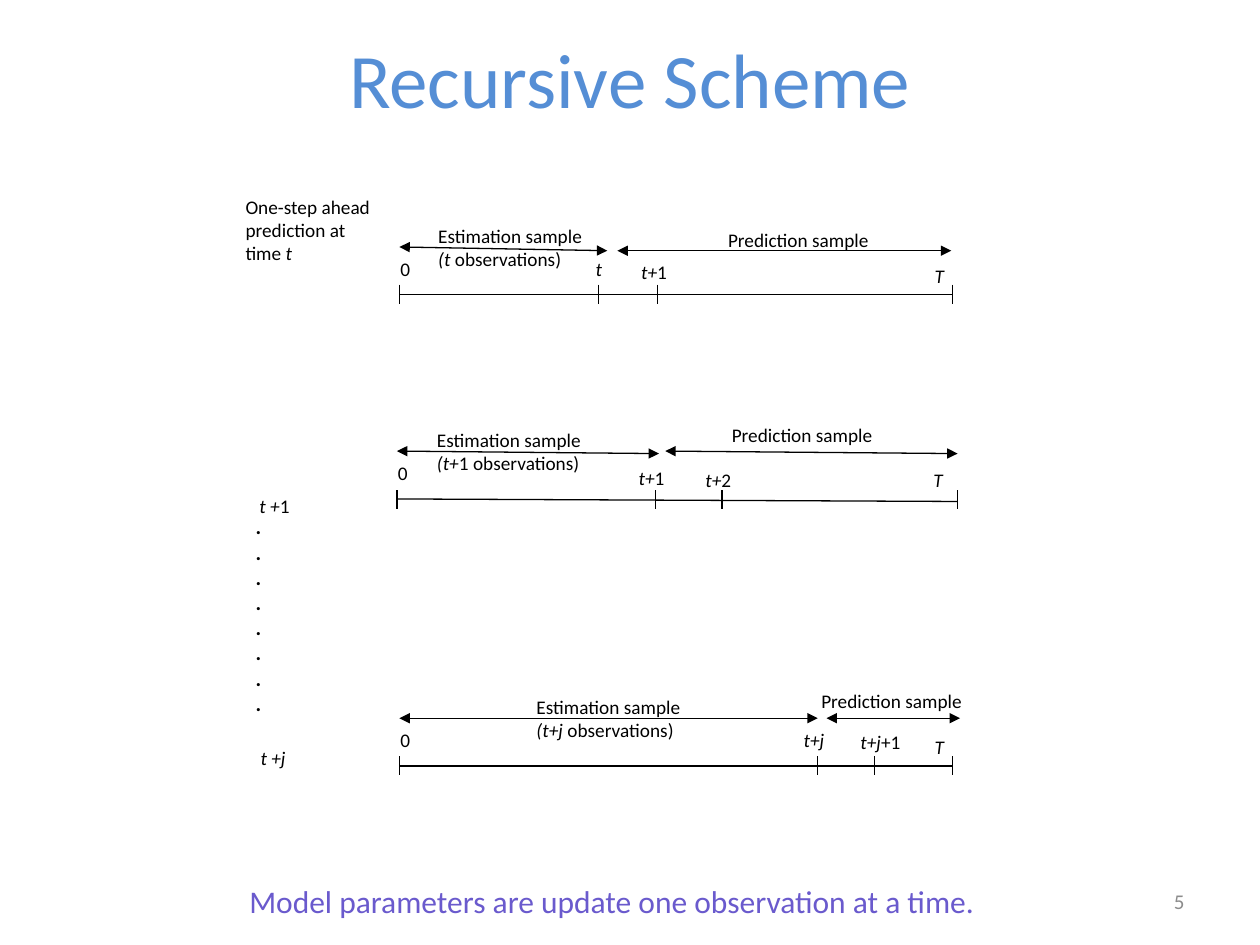
from dataclasses import dataclass

from lxml import etree
from pptx import Presentation
from pptx.dml.color import RGBColor
from pptx.enum.shapes import MSO_CONNECTOR
from pptx.enum.text import MSO_ANCHOR, PP_ALIGN
from pptx.oxml.ns import qn
from pptx.util import Inches, Pt

LINE = MSO_CONNECTOR.STRAIGHT
TOP, MID = MSO_ANCHOR.TOP, MSO_ANCHOR.MIDDLE
LEFT, MIDDLE, RIGHT = PP_ALIGN.LEFT, PP_ALIGN.CENTER, PP_ALIGN.RIGHT
BLACK = RGBColor(0x00, 0x00, 0x00)
BLUE = RGBColor(0x55, 0x8E, 0xD5)
VIOLET = RGBColor(0x6A, 0x5A, 0xCD)
GRAY = RGBColor(0x8C, 0x8C, 0x8C)
TICK = 0.15
RISE = 0.08


@dataclass
class Label:
    lines: tuple[str, ...]
    x: float
    y: float
    w: float
    h: float = 0.27
    size: int = 11
    color: RGBColor = BLACK
    bold: bool = False
    align: PP_ALIGN = LEFT
    anchor: MSO_ANCHOR = TOP
    wrap: bool = True


@dataclass
class Span:
    x1: float
    y1: float
    x2: float
    y2: float


@dataclass
class Row:
    axis: Span
    cuts: tuple[float, float]
    spans: tuple[Span, Span]
    labels: tuple[Label, ...]


def write(frame, label: Label) -> None:
    for name, value in {"word_wrap": label.wrap, "vertical_anchor": label.anchor}.items():
        setattr(frame, name, value)
    for i, line in enumerate(label.lines):
        para = frame.add_paragraph() if i else frame.paragraphs[0]
        para.alignment = label.align
        for j, part in enumerate(line.split("*")):
            if not part:
                continue
            run = para.add_run()
            run.text = part
            style = {"name": "Calibri", "size": Pt(label.size),
                     "bold": label.bold, "italic": j % 2 == 1}
            for name, value in style.items():
                setattr(run.font, name, value)
            run.font.color.rgb = label.color


def add_text(slide, label: Label) -> None:
    box = slide.shapes.add_textbox(*map(Inches, (label.x, label.y, label.w, label.h)))
    write(box.text_frame, label)


def add_line(slide, span: Span, arrow: bool = False) -> None:
    ends = map(Inches, (span.x1, span.y1, span.x2, span.y2))
    line = slide.shapes.add_connector(LINE, *ends)
    line.line.color.rgb = BLACK
    line.line.width = Pt(0.75)
    props = line._element.spPr
    if arrow:
        for tag in ("a:headEnd", "a:tailEnd"):
            etree.SubElement(props.find(qn("a:ln")), qn(tag), type="triangle")
    etree.SubElement(props, qn("a:effectLst"))


def add_row(slide, row: Row) -> None:
    add_line(slide, row.axis)
    top = (row.axis.y1 + row.axis.y2) / 2 - RISE
    for x in (row.axis.x1, *row.cuts, row.axis.x2):
        add_line(slide, Span(x, top, x, top + TICK))
    for span in row.spans:
        add_line(slide, span, arrow=True)
    for label in row.labels:
        add_text(slide, label)


def estimate(count: str, x: float, y: float) -> Label:
    return Label(("Estimation sample", f"{count} observations)"), x, y, 1.8, 0.45)


def predict(x: float, y: float) -> Label:
    return Label(("Prediction sample",), x, y, 1.73)


def mark(text: str, x: float, y: float, w: float = 0.62) -> Label:
    return Label((text,), x, y, w)


ROWS = (
    Row(Span(3.17, 2.34, 7.56, 2.34), (4.75, 5.22),
        (Span(3.17, 1.96, 4.82, 1.99), Span(4.9, 1.99, 7.55, 1.99)),
        (estimate("*(t*", 3.38, 1.73), predict(5.68, 1.76),
         mark("0", 3.08, 1.99, 0.27), mark("*t*", 4.63, 1.99, 0.27),
         mark("*t+*1", 4.99, 2.02), mark("*T*", 7.32, 2.05, 0.28))),
    Row(Span(3.15, 3.96, 7.6, 3.98), (5.2, 5.73),
        (Span(3.15, 3.58, 5.23, 3.6), Span(5.28, 3.58, 7.6, 3.6)),
        (estimate("*(t+*1", 3.37, 3.35), predict(5.71, 3.31),
         mark("0", 3.06, 3.61, 0.33), mark("*t+*1", 4.97, 3.65),
         mark("*t+*2", 5.5, 3.67), mark("*T*", 7.31, 3.67, 0.35))),
    Row(Span(3.17, 6.08, 7.56, 6.08), (6.49, 6.94),
        (Span(3.17, 5.7, 6.49, 5.7), Span(6.56, 5.7, 7.62, 5.7)),
        (estimate("*(t+j*", 4.16, 5.47), predict(6.42, 5.42),
         mark("0", 3.08, 5.73, 0.27), mark("*t+j*", 6.28, 5.73, 0.45),
         mark("*t+j*+1", 6.73, 5.75), mark("*T*", 7.32, 5.79, 0.28))),
)

NOTES = (
    Label(("One-step ahead", "prediction at", "time *t*"), 1.85, 1.5, 1.48, 1),
    Label(("*t +*1",), 1.96, 3.87, 0.88),
    Label((".",) * 8, 1.93, 4.03, 0.23, 1.78, size=12, bold=True),
    Label(("*t +j*",), 1.97, 5.87, 0.73),
    Label(("Model parameters are update one observation at a time.",),
          1.88, 6.95, 6.02, 0.4, size=18, color=VIOLET, wrap=False),
    Label(("5",), 7.17, 6.95, 2.33, 0.4, size=12, color=GRAY, align=RIGHT, anchor=MID),
)

TITLE = Label(("Recursive Scheme",), 0.5, -0.01, 9, 1.25, size=44,
              color=BLUE, align=MIDDLE, anchor=MID)


def main() -> None:
    deck = Presentation()
    deck.slide_width, deck.slide_height = Inches(10), Inches(7.5)
    slide = deck.slides.add_slide(deck.slide_layouts[5])
    title = slide.shapes.title
    place = {"left": TITLE.x, "top": TITLE.y, "width": TITLE.w, "height": TITLE.h}
    for name, value in place.items():
        setattr(title, name, Inches(value))
    write(title.text_frame, TITLE)
    for row in ROWS:
        add_row(slide, row)
    for note in NOTES:
        add_text(slide, note)
    deck.save("out.pptx")


if __name__ == "__main__":
    main()
